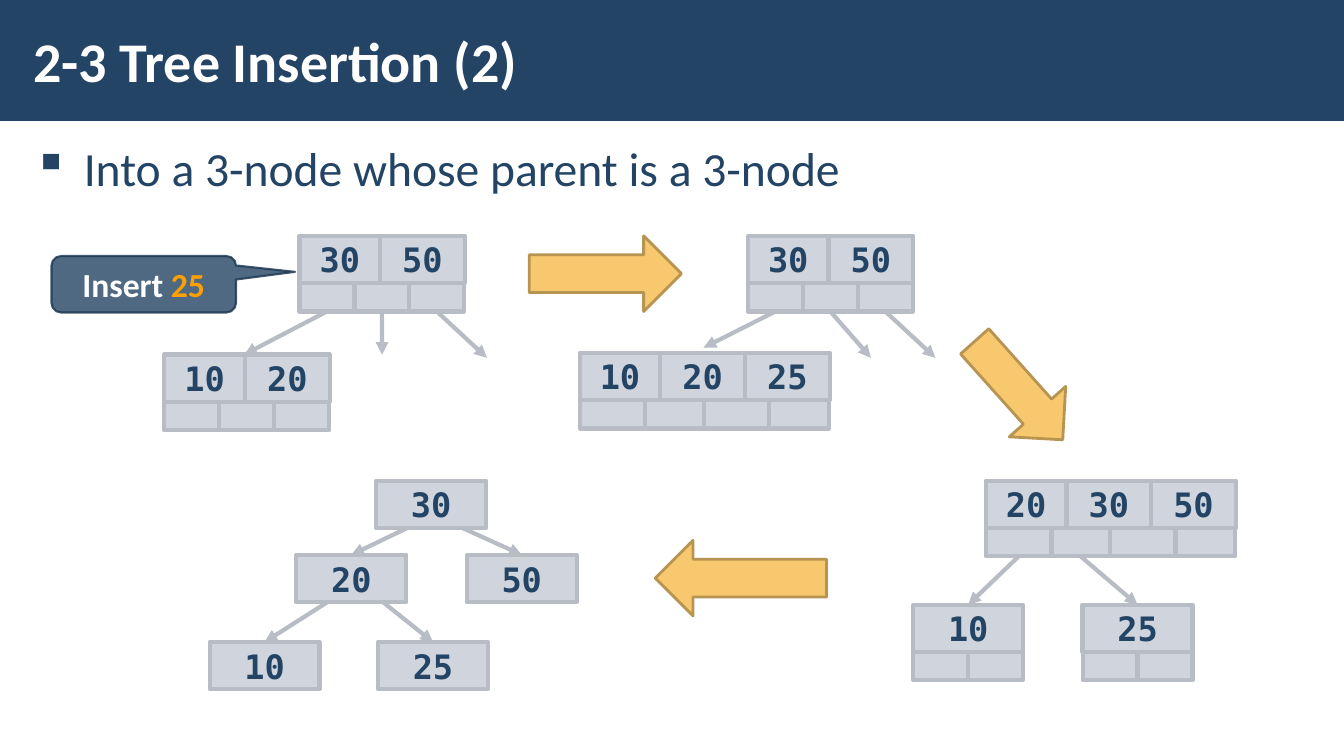
from itertools import accumulate

from lxml.etree import SubElement
from pptx import Presentation
from pptx.dml.color import RGBColor
from pptx.enum.shapes import MSO_CONNECTOR, MSO_SHAPE
from pptx.enum.text import MSO_ANCHOR, PP_ALIGN
from pptx.oxml.ns import qn
from pptx.util import Inches, Pt

# Content: every position and size is a percentage of the slide's width or height
TITLE = "2-3 Tree Insertion (2)"
BULLET = "Into a 3-node whose parent is a 3-node"
CALLOUT = [("Insert ", "FFFFFF"), ("25", "FFA000")]

# name: (left, top, keys, has pointer slots)
NODES = {
    "start root": (22.28, 31.2, ["30", "50"], True),
    "start leaf": (12.23, 46.9, ["10", "20"], True),
    "full root": (55.65, 31.2, ["30", "50"], True),
    "full leaf": (43.13, 46.67, ["10", "20", "25"], True),
    "split root": (73.35, 63.6, ["20", "30", "50"], True),
    "split left": (67.95, 80, ["10"], True),
    "split right": (80.55, 80, ["25"], True),
    "final root": (27.98, 63.6, ["30"], False),
    "final left": (22.05, 73.4, ["20"], False),
    "final right": (34.73, 73.4, ["50"], False),
    "final 10": (15.6, 84.93, ["10"], False),
    "final 25": (28.13, 84.93, ["25"], False),
}
# (parent, slot or side, child node or free end point)
EDGES = [
    ("start root", 0, (18.17, 46.9)),
    ("start root", 1, (28.43, 46.93)),
    ("start root", 2, (36.23, 47.33)),
    ("full root", 0, (52.35, 46)),
    ("full root", 1, (64.8, 47.33)),
    ("full root", 2, (69.6, 47.33)),
    ("split root", 0, "split left"),
    ("split root", 1, "split right"),
    ("final root", 0, "final left"),
    ("final root", 1, "final right"),
    ("final left", 0, "final 10"),
    ("final left", 1, "final 25"),
]
# (left, top, width, rotation)
STEPS = [(39.38, 31.2, 11.33, 0), (70.88, 46.67, 9.83, 48.2),
         (48.75, 71.47, 12.75, 180)]

# Widths by number of keys
KEY_W = {1: [8.18], 2: [6, 6.3], 3: [6, 6.3, 6.3]}
SLOT_W = {1: [4.09] * 2, 2: [4.09] * 3, 3: [4.88, 4.35, 4.88, 4.43]}
KEY_H, SLOT_H, STEP_H = 6.27, 3.73, 10
BARE_STARTS = (0.28, 0.79)
NAVY, CELL, EDGE = "234465", "A3ABBC", "B8BCC4"
SANS, MONO = "Calibri", "DejaVu Sans Mono"

prs = Presentation()
prs.slide_width, prs.slide_height = Inches(13.33), Inches(7.5)
s = prs.slides.add_slide(prs.slide_layouts[6])


def rgb(value):
    return RGBColor.from_string(value)


def px(share):
    return int(prs.slide_width * share / 100)


def py(share):
    return int(prs.slide_height * share / 100)


def box(x, y, w, h):
    return px(x), py(y), px(w), py(h)


def set_alpha(fill_parent, percent):
    color = next(fill_parent.iter(qn("a:srgbClr")))
    SubElement(color, qn("a:alpha"), val=str(percent * 1000))


def add_shape(kind, area, fill, line=None, width=0, alpha=None):
    sp = s.shapes.add_shape(kind, *box(*area))
    sp.shadow.inherit = False
    sp.fill.solid()
    sp.fill.fore_color.rgb = rgb(fill)
    if alpha:
        set_alpha(sp.fill._xPr.find(qn("a:solidFill")), alpha)
    if line:
        sp.line.color.rgb = rgb(line)
        sp.line.width = Pt(width)
    else:
        sp.line.fill.background()
    return sp


def write(sp, runs, size, font=SANS, bold=True, align=PP_ALIGN.CENTER,
          anchor=MSO_ANCHOR.MIDDLE, wrap=True):
    tf = sp.text_frame
    tf.word_wrap, tf.vertical_anchor = wrap, anchor
    tf.margin_left = tf.margin_right = Inches(0.12)
    tf.margin_top = tf.margin_bottom = Inches(0.04)
    p = tf.paragraphs[0]
    p.alignment = align
    for text, color in runs:
        r = p.add_run()
        r.text = text
        r.font.name, r.font.size, r.font.bold = font, Pt(size), bold
        r.font.color.rgb = rgb(color)
    return p


def add_cell(x, y, w, h):
    return add_shape(MSO_SHAPE.RECTANGLE, (x, y, w, h), CELL, EDGE, 3, 50)


def add_node(x, y, keys, has_slots):
    n = len(keys)
    key_cells, slots = [], []
    for key, w, dx in zip(keys, KEY_W[n], accumulate(KEY_W[n], initial=0)):
        cell = add_cell(x + dx, y, w, KEY_H)
        write(cell, [(key, NAVY)], 24, MONO, wrap=False)
        key_cells.append(cell)
    if has_slots:
        for w, dx in zip(SLOT_W[n], accumulate(SLOT_W[n], initial=0)):
            slots.append(add_cell(x + dx, y + KEY_H, w, SLOT_H))
    return key_cells, slots


def add_edge(parent, side, target):
    keys, slots = nodes[parent]
    x, y = NODES[parent][:2]
    start = px(x + KEY_W[1][0] * BARE_STARTS[side]) if not slots else 0
    end = (0, 0) if target in nodes else (px(target[0]), py(target[1]))
    cn = s.shapes.add_connector(MSO_CONNECTOR.STRAIGHT, start, py(y + KEY_H), *end)
    if slots:
        cn.begin_connect(slots[side], 2)
    if target in nodes:
        cn.end_connect(nodes[target][0][0], 0)
    cn.line.color.rgb = rgb(EDGE)
    cn.line.width = Pt(3)
    SubElement(cn.line._get_or_add_ln(), qn("a:tailEnd"), type="triangle")
    SubElement(cn._element.spPr, qn("a:effectLst"))


# Banner, title and bullet
add_shape(MSO_SHAPE.RECTANGLE, (0, 0, 100, 16), NAVY)
title = s.shapes.add_textbox(*box(1.58, 1.47, 78, 12.93))
write(title, [(TITLE, "FFFFFF")], 40, align=PP_ALIGN.LEFT)
body = s.shapes.add_textbox(*box(1.58, 17.47, 96.9, 75.87))
p = write(body, [(BULLET, NAVY)], 34, bold=False, align=PP_ALIGN.LEFT,
          anchor=MSO_ANCHOR.TOP)
p.line_spacing, p.space_before, p.space_after = 1.05, Pt(6), Pt(6)
pPr = p._p.get_or_add_pPr()
pPr.set("marL", str(Inches(0.5)))
pPr.set("indent", str(-Inches(0.5)))
SubElement(pPr, qn("a:buChar"), char="▪")

# Trees
nodes = {name: add_node(*node) for name, node in NODES.items()}
for edge in EDGES:
    add_edge(*edge)

# Arrows between the steps
for x, y, w, turn in STEPS:
    step = add_shape(MSO_SHAPE.RIGHT_ARROW, (x, y, w, STEP_H), "F7C86D", "B79451", 2)
    step.rotation = turn

# Callout
callout = add_shape(MSO_SHAPE.ROUNDED_RECTANGULAR_CALLOUT,
                    (3.83, 33.87, 13.73, 7.47), NAVY, "1A334C", 1.5, 80)
set_alpha(callout.line._get_or_add_ln(), 80)
for i, value in enumerate((0.82, -0.22, 0.17)):
    callout.adjustments[i] = value
write(callout, CALLOUT, 24)

prs.save("out.pptx")
